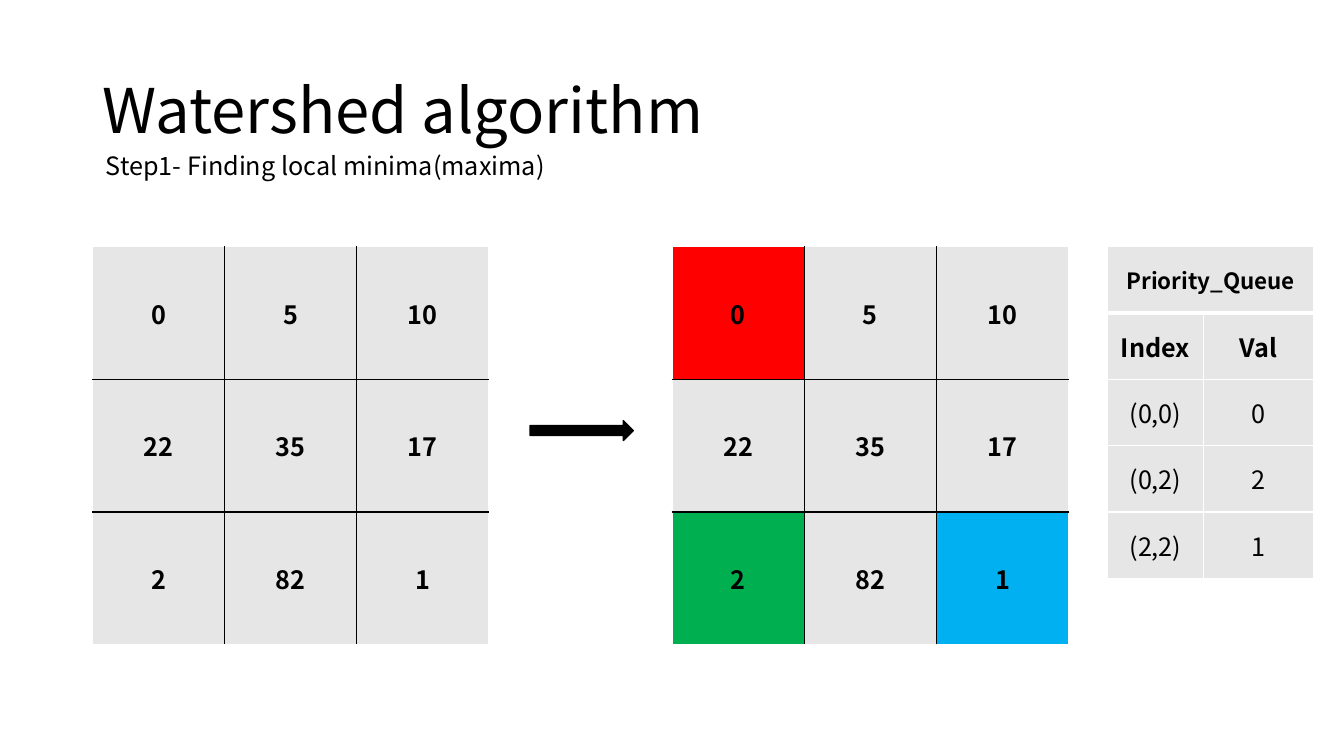
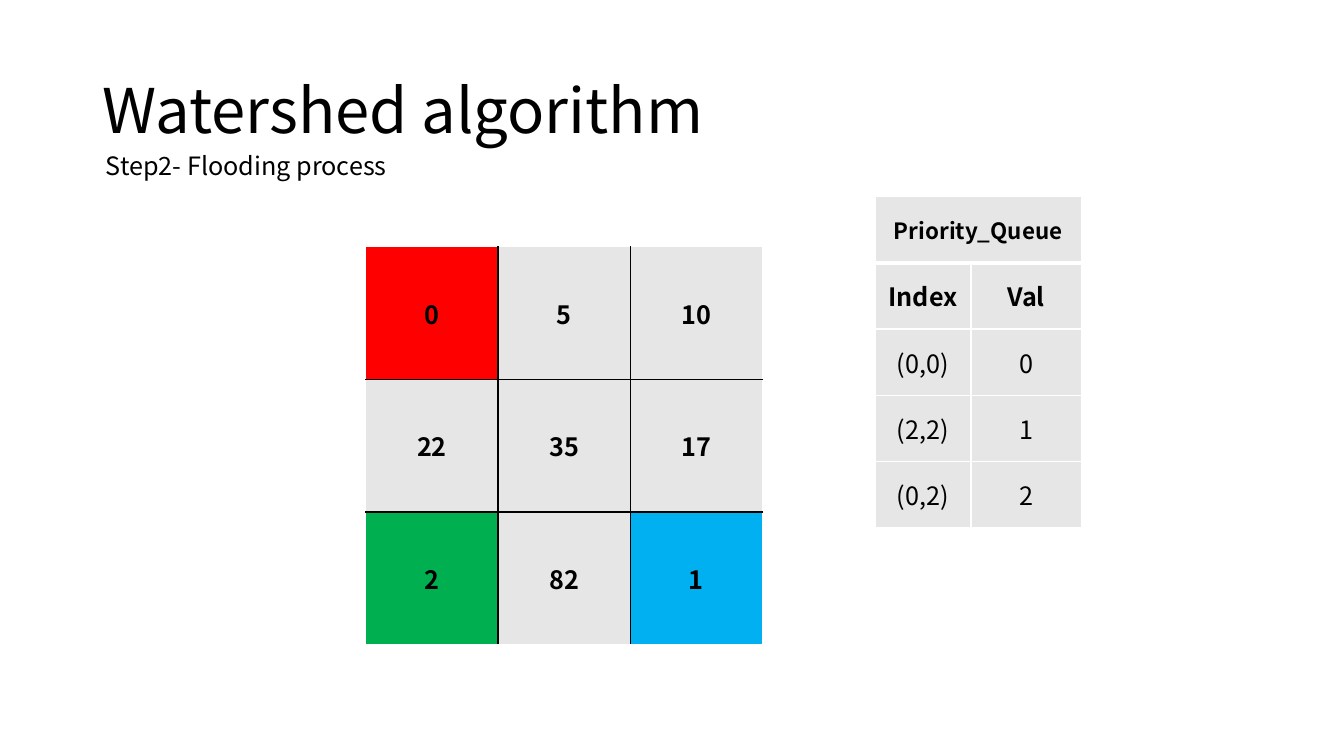
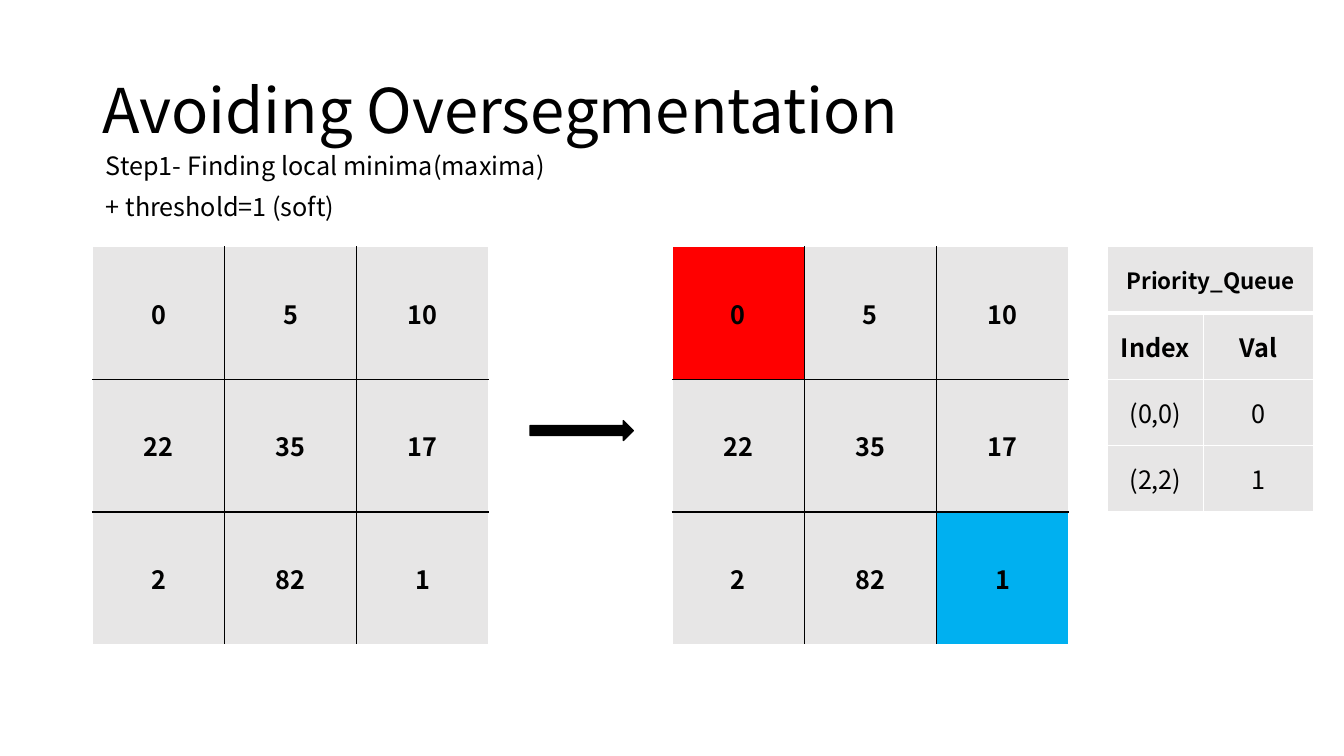
from lxml.etree import SubElement
from pptx import Presentation
from pptx.dml.color import RGBColor
from pptx.enum.shapes import MSO_SHAPE as Shape
from pptx.enum.text import MSO_ANCHOR as Anchor, PP_ALIGN as Align
from pptx.oxml.ns import qn
from pptx.util import Cm, Pt

BLACK = RGBColor(0x00, 0x00, 0x00)
WHITE = RGBColor(0xFF, 0xFF, 0xFF)
GREY = RGBColor(0xE7, 0xE6, 0xE6)
RED = RGBColor(0xFF, 0x00, 0x00)
GREEN = RGBColor(0x00, 0xB0, 0x50)
BLUE = RGBColor(0x00, 0xB0, 0xF0)

FACE = "Noto Sans CJK KR"
TITLE = {"name": FACE, "size": Pt(44), "bold": False}
BODY = {"name": FACE, "size": Pt(18), "bold": False}
STRONG = {**BODY, "bold": True}
QUEUE_TITLE = {**STRONG, "size": Pt(16)}

PIXELS = [[0, 5, 10], [22, 35, 17], [2, 82, 1]]
RED_MINIMUM = {(0, 0): RED}
GREEN_MINIMUM = {(2, 0): GREEN}
BLUE_MINIMUM = {(2, 2): BLUE}
ALL_MINIMA = {**RED_MINIMUM, **GREEN_MINIMUM, **BLUE_MINIMUM}

TITLE_BOX = (2.33, 1.02, 29.21, 3.68)
STEP_BOX = (2.42, 3.66, 15.77, 1.02)
STEP_PITCH = 1.04
GRID_TOP = 6.22
GRID_CELL = (3.33, 3.34)
QUEUE_COLUMNS = (2.42, 2.78)
QUEUE_ROW = 1.67


def write(frame, text, style, align=Align.LEFT):
    paragraph = frame.paragraphs[0]
    paragraph.alignment = align
    run = paragraph.add_run()
    run.text = str(text)
    for attribute, value in style.items():
        setattr(run.font, attribute, value)
    run.font.color.rgb = BLACK
    return paragraph


def add_label(slide, box, text, style, anchor=Anchor.TOP):
    frame = slide.shapes.add_textbox(*map(Cm, box)).text_frame
    frame.word_wrap = True
    frame.vertical_anchor = anchor
    return write(frame, text, style)


def add_heading(slide, title, steps):
    add_label(slide, TITLE_BOX, title, TITLE, Anchor.MIDDLE).line_spacing = 0.9
    left, top, width, height = STEP_BOX
    for index, step in enumerate(steps):
        add_label(slide, (left, top + index * STEP_PITCH, width, height), step, BODY)


def set_borders(cell, borders):
    properties = cell._tc.get_or_add_tcPr()
    for side in "LRTB":
        if side in borders:
            color, points = borders[side]
            line = SubElement(properties, qn(f"a:ln{side}"), w=str(Pt(points)))
            fill = SubElement(line, qn("a:solidFill"))
            SubElement(fill, qn("a:srgbClr"), val=str(color))


def fill_cell(cell, text, style, color, borders):
    set_borders(cell, borders)
    cell.fill.solid()
    cell.fill.fore_color.rgb = color
    cell.vertical_anchor = Anchor.MIDDLE
    if text is not None:
        write(cell.text_frame, text, style, Align.CENTER)


def new_table(slide, left, top, columns, row_height, row_count):
    size = (sum(columns), row_height * row_count)
    table = slide.shapes.add_table(
        row_count, len(columns), *map(Cm, (left, top, *size))).table
    table.first_row = table.horz_banding = False
    for column, width in zip(table.columns, columns):
        column.width = Cm(width)
    for row in table.rows:
        row.height = Cm(row_height)
    return table


def add_pixel_grid(slide, left, top, colors):
    width, height = GRID_CELL
    last = len(PIXELS) - 1
    table = new_table(slide, left, top, [width] * len(PIXELS), height, len(PIXELS))
    for r, values in enumerate(PIXELS):
        for c, value in enumerate(values):
            inner = {"L": c > 0, "R": c < last, "T": r > 0, "B": r < last}
            borders = {side: (BLACK, 1) for side, shown in inner.items() if shown}
            fill_cell(table.cell(r, c), value, STRONG, colors.get((r, c), GREY), borders)


def add_queue(slide, left, top, entries):
    rows = [("Priority_Queue", None), ("Index", "Val"), *entries]
    styles = [QUEUE_TITLE, STRONG] + [BODY] * len(entries)
    table = new_table(slide, left, top, QUEUE_COLUMNS, QUEUE_ROW, len(rows))
    table.cell(0, 0).merge(table.cell(0, 1))
    for r, (values, style) in enumerate(zip(rows, styles)):
        borders = {side: (WHITE, 1) for side in "LRTB"}
        if r < 2:
            borders["BT"[r]] = (WHITE, 3)
        for c, value in enumerate(values):
            fill_cell(table.cell(r, c), value, style, GREY, borders)


def add_arrow(slide, box):
    arrow = slide.shapes.add_shape(Shape.RIGHT_ARROW, *map(Cm, box))
    arrow.shadow.inherit = False
    arrow.fill.solid()
    arrow.fill.fore_color.rgb = BLACK
    arrow.line.color.rgb = BLACK
    arrow.line.width = Pt(1)


def add_minima_slide(slide, title, steps, minima, entries):
    add_heading(slide, title, steps)
    add_pixel_grid(slide, 2.33, GRID_TOP, {})
    add_pixel_grid(slide, 16.94, GRID_TOP, minima)
    add_arrow(slide, (13.36, 10.6, 2.6, 0.5))
    add_queue(slide, 27.91, GRID_TOP, entries)


def add_flooding_slide(slide, title, steps, minima, entries):
    add_heading(slide, title, steps)
    add_pixel_grid(slide, 9.22, GRID_TOP, minima)
    add_queue(slide, 22.05, 4.95, entries)


SLIDES = [
    (add_minima_slide, "Watershed algorithm",
     ["Step1- Finding local minima(maxima)"],
     ALL_MINIMA, [("(0,0)", 0), ("(0,2)", 2), ("(2,2)", 1)]),
    (add_flooding_slide, "Watershed algorithm",
     ["Step2- Flooding process"],
     ALL_MINIMA, [("(0,0)", 0), ("(2,2)", 1), ("(0,2)", 2)]),
    (add_minima_slide, "Avoiding Oversegmentation",
     ["Step1- Finding local minima(maxima)", "+ threshold=1 (soft)"],
     {**RED_MINIMUM, **BLUE_MINIMUM}, [("(0,0)", 0), ("(2,2)", 1)]),
]


def main():
    deck = Presentation()
    deck.slide_width, deck.slide_height = Cm(33.87), Cm(19.05)
    blank = deck.slide_layouts[6]
    for build, *content in SLIDES:
        build(deck.slides.add_slide(blank), *content)
    deck.save("out.pptx")


if __name__ == "__main__":
    main()
